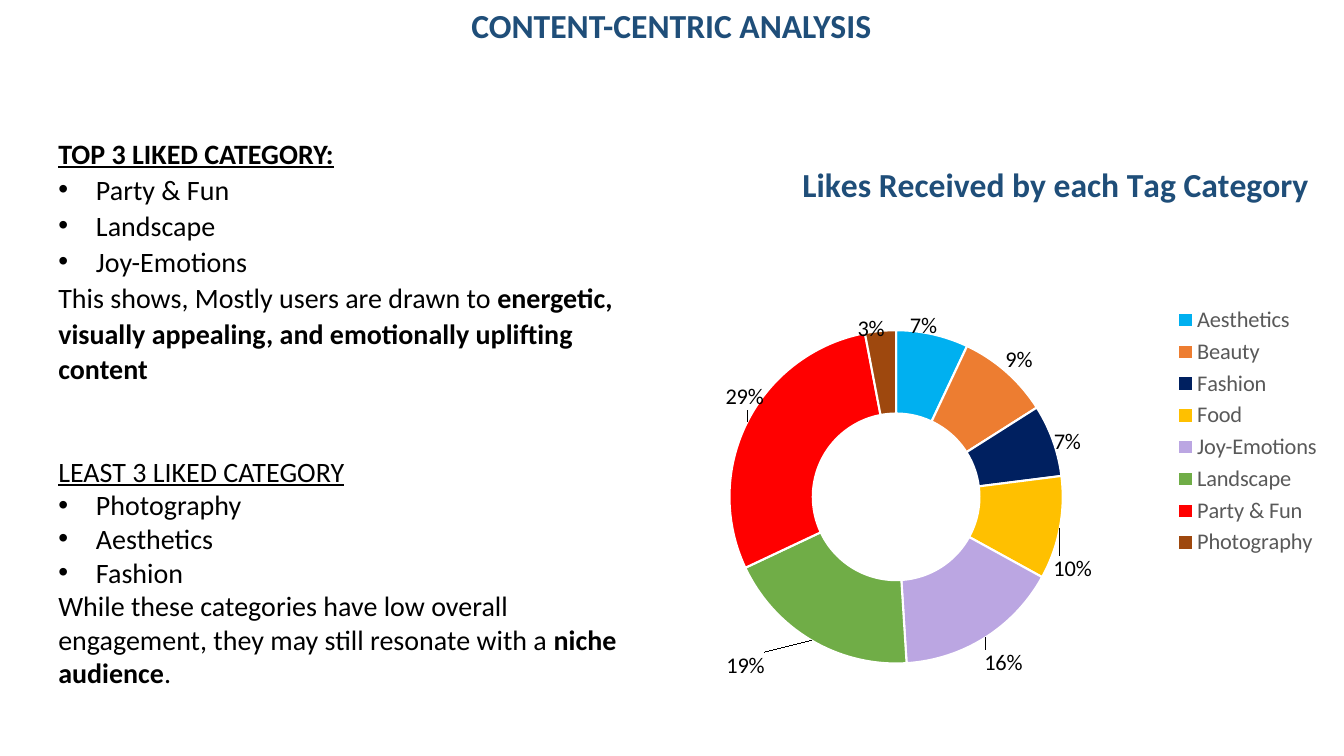
import pptx
import pptx.chart.data
import pptx.dml.color
import pptx.enum.chart
import pptx.enum.text
import pptx.oxml
import pptx.oxml.ns
import pptx.util

Cm, Pt = pptx.util.Cm, pptx.util.Pt
qn = pptx.oxml.ns.qn

# Content
HEAD = "CONTENT-CENTRIC ANALYSIS"
CAPTION = "Likes Received by each Tag Category"
# Each block: title, bold title, items, closing runs (text, bold), line spacing, gap above
BLOCKS = [
    ("TOP 3 LIKED CATEGORY:", True, ["Party & Fun", "Landscape", "Joy-Emotions"],
     [("This shows, Mostly users are drawn to ", False),
      ("energetic, visually appealing, and emotionally uplifting content", True)],
     1.07, 0),
    ("LEAST 3 LIKED CATEGORY", False, ["Photography", "Aesthetics", "Fashion"],
     [("While these categories have low overall engagement, "
       "they may still resonate with a ", False),
      ("niche audience", True), (".", False)],
     1.0, 49),
]
# Each slice: tag, share, colour, label shift as a part of the chart's width and height
SLICES = [
    ("Aesthetics", 7, "00B0F0", 0, -0.08),
    ("Beauty", 9, "ED7D31", 0.06, -0.07),
    ("Fashion", 7, "002060", 0.08, -0.02),
    ("Food", 10, "FFC000", 0.08, 0.08),
    ("Joy-Emotions", 16, "BBA6E2", 0.06, 0.1),
    ("Landscape", 19, "70AD47", -0.13, 0.1),
    ("Party & Fun", 29, "FF0000", -0.06, -0.07),
    ("Photography", 3, "9E480E", -0.02, -0.07),
]
THEME = {
    "font": "Calibri", "head": 24, "body": 20, "label": 16,
    "navy": "1F4E79", "black": "000000", "grey": "595959", "white": "FFFFFF",
}
# Places: left, top, width, height in cm
SPOTS = {
    "chart": (16.69, 3.15, 16.89, 15.44),
    "body": (1.22, 3.25, 14.94, 14.35),
    "head": (9.58, 0, 14.68, 1.27),
}


def tint(code):
    return pptx.dml.color.RGBColor.from_string(code)


def style(font, size, color, **extra):
    font.color.rgb = tint(THEME[color])
    form = {"name": THEME["font"], "size": Pt(THEME[size]), **extra}
    for key, val in form.items():
        setattr(font, key, val)


def write(para, text, size="body", color="black", **extra):
    run = para.add_run()
    run.text = text
    style(run.font, size, color, **extra)


def spot(name):
    return [Cm(n) for n in SPOTS[name]]


def add_box(name):
    frame = slide.shapes.add_textbox(*spot(name)).text_frame
    frame.word_wrap = True
    return frame


def bullet(para):
    props = para._p.get_or_add_pPr()
    props.set("marL", str(Cm(0.95)))
    props.set("indent", str(-Cm(0.95)))
    for tag, key, val in (("a:buFont", "typeface", "Arial"), ("a:buChar", "char", "•")):
        node = pptx.oxml.parse_xml(f"<{tag} {pptx.oxml.ns.nsdecls('a')}/>")
        node.set(key, val)
        props.append(node)


def layout(parts):
    inner = "".join(f'<c:{tag} val="{val}"/>' for tag, val in parts)
    return pptx.oxml.parse_xml(
        f"<c:layout {pptx.oxml.ns.nsdecls('c')}><c:manualLayout>{inner}"
        "</c:manualLayout></c:layout>")


def place(node, index, parts):
    for old in node.findall(qn("c:layout")):
        node.remove(old)
    node.insert(index, layout(parts))


def label(index, dx, dy):
    flags = "".join(
        f'<c:show{flag} val="{int(flag == "Percent")}"/>'
        for flag in ("LegendKey", "Val", "CatName", "SerName", "Percent", "BubbleSize"))
    node = pptx.oxml.parse_xml(
        f"<c:dLbl {pptx.oxml.ns.nsdecls('c')}><c:idx val=\"{index}\"/>{flags}</c:dLbl>")
    place(node, 1, [("x", dx), ("y", dy)])
    return node


deck = pptx.Presentation()
deck.slide_width, deck.slide_height = Cm(33.87), Cm(19.05)
slide = deck.slides.add_slide(deck.slide_layouts[6])

# Doughnut chart
data = pptx.chart.data.CategoryChartData()
data.categories = [row[0] for row in SLICES]
data.add_series("Series 1", [row[1] for row in SLICES])
chart = slide.shapes.add_chart(
    pptx.enum.chart.XL_CHART_TYPE.DOUGHNUT, *spot("chart"), data).chart
style(chart.font, "label", "black")
chart.has_title = True
write(chart.chart_title.text_frame.paragraphs[0], CAPTION, "head", "navy", bold=True)
chart.has_legend = True
chart.legend.position = pptx.enum.chart.XL_LEGEND_POSITION.RIGHT
chart.legend.include_in_layout = False
style(chart.legend.font, "label", "grey")

# Slices and their labels
plot = chart.plots[0]
plot.vary_by_categories = True
ring = plot.series[0]
notes = ring.data_labels
for key, val in {"show_percentage": True, "show_value": False}.items():
    setattr(notes, key, val)
style(notes.font, "label", "black")
root = chart.element
host = root.xpath(".//c:ser/c:dLbls")[0]
for i, (tag, share, code, dx, dy) in enumerate(SLICES):
    form = ring.points[i].format
    form.fill.solid()
    form.fill.fore_color.rgb = tint(code)
    form.line.color.rgb = tint(THEME["white"])
    form.line.width = Pt(1.5)
    host.insert(i, label(i, dx, dy))

# Chart layout
root.xpath(".//c:holeSize")[0].set("val", "75")
edge = [("xMode", "edge"), ("yMode", "edge")]
place(root.xpath(".//c:plotArea")[0], 0,
      [("layoutTarget", "inner")] + edge
      + [("x", 0.034), ("y", 0.335), ("w", 0.63), ("h", 0.544)])
place(root.xpath("./c:chart/c:title")[0], 1, edge + [("x", 0.2), ("y", 0.05)])

# Body text
frame = add_box("body")
paras = []


def add_para(space):
    para = frame.add_paragraph() if paras else frame.paragraphs[0]
    para.line_spacing = space
    paras.append(para)
    return para


for title, bold, items, close, space, gap in BLOCKS:
    para = add_para(space)
    para.space_before = Pt(gap)
    write(para, title, bold=bold, underline=True)
    for item in items:
        para = add_para(space)
        bullet(para)
        write(para, item)
    para = add_para(space)
    for text, bold in close:
        write(para, text, bold=bold)

# Heading
para = add_box("head").paragraphs[0]
para.alignment = pptx.enum.text.PP_ALIGN.CENTER
write(para, HEAD, "head", "navy", bold=True)

deck.save("out.pptx")
